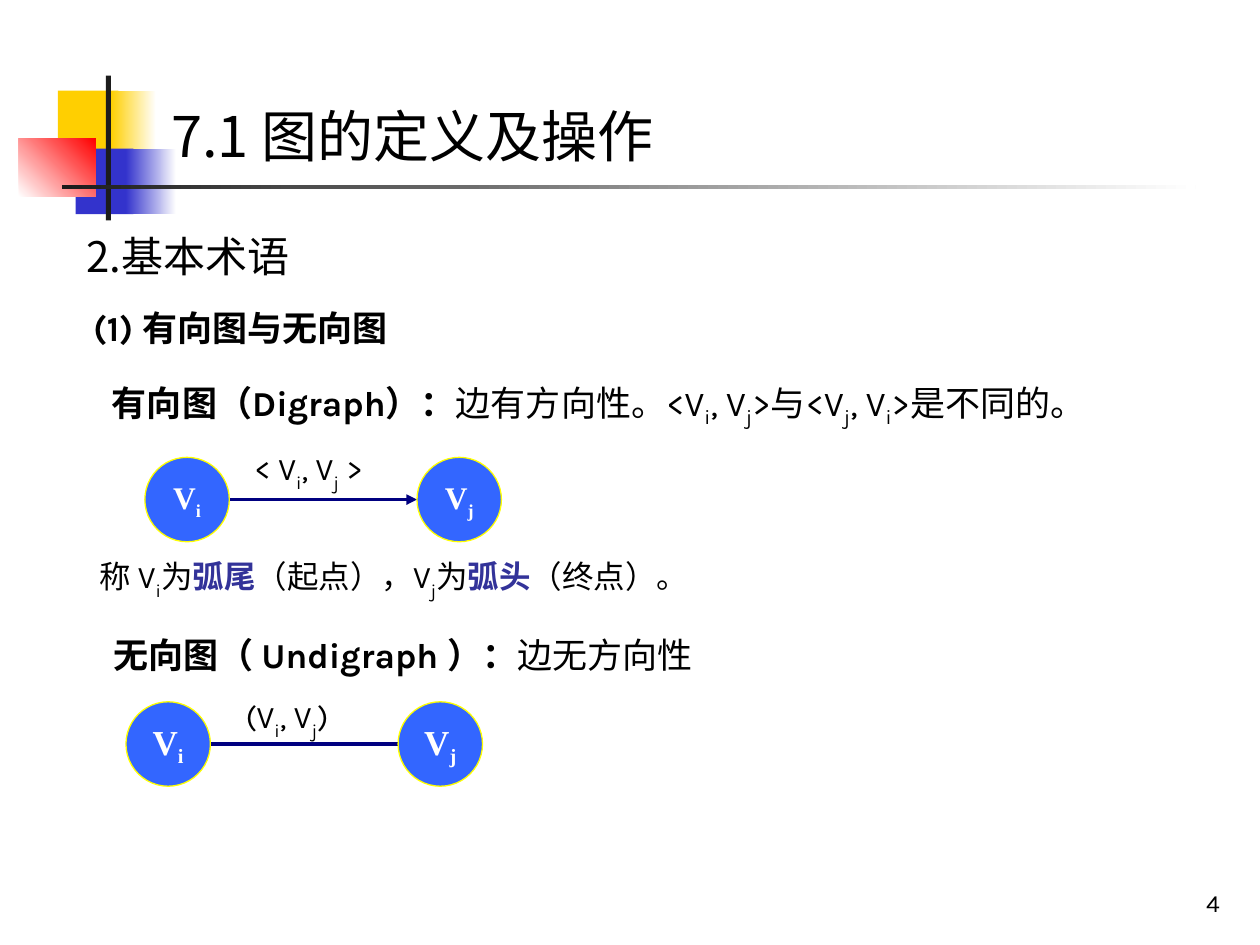
from lxml import etree
from pptx import Presentation, util as u
from pptx.dml.color import RGBColor
from pptx.enum import shapes, text
from pptx.oxml.ns import qn

color = RGBColor.from_string
BLACK, WHITE, NAVY = "000000", "FFFFFF", "000080"
CJK = "Noto Sans CJK SC"


def write(shape, spans, size, font="Karla", ink=BLACK, east=CJK, drop=-25):
    """Fill a shape with (words, style) spans; style holds b = bold, s = subscript, k = key term."""
    frame = shape.text_frame
    frame.word_wrap = True
    para = frame.paragraphs[0]
    for words, style in spans:
        span = para.add_run()
        span.text = words
        span.font.size = u.Pt(size)
        span.font.name = font
        span.font.bold = "b" in style
        span.font.color.rgb = color("333399" if "k" in style else ink)
        properties = span.font._element
        if "s" in style:
            properties.set("baseline", str(drop * 1000))
        etree.SubElement(properties, qn("a:ea")).set("typeface", east)
    return para


def add_block(kind, left, top, width, height, fill):
    shape = page.shapes.add_shape(kind, *map(u.Inches, (left, top, width, height)))
    shape.shadow.inherit = False
    shape.line.fill.background()
    if isinstance(fill, str):
        shape.fill.solid()
        shape.fill.fore_color.rgb = color(fill)
    else:
        start, end, angle = fill
        shape.fill.gradient()
        shape.fill.gradient_angle = angle
        for stop, shade in zip(shape.fill.gradient_stops, (start, end)):
            stop.color.rgb = color(shade)
    return shape


deck = Presentation()
deck.slide_width, deck.slide_height = u.Inches(10), u.Inches(7.5)
page = deck.slides.add_slide(deck.slide_layouts[6])

# Corner ornament and title rule
for left, top, width, height, fill in [
    (0.46, 0.72, 0.48, 0.52, "FFCF01"),
    (0.88, 0.72, 0.36, 0.52, ("FFCF01", WHITE, 0)),
    (0.6, 1.18, 0.46, 0.52, "3333CC"),
    (1, 1.18, 0.4, 0.52, ("3333CC", WHITE, 0)),
    (0.15, 1.1, 0.61, 0.46, (WHITE, "FF0000", 45)),
    (0.84, 0.6, 0.04, 1.15, "1C1C1C"),
    (0.49, 1.47, 9, 0.03, ("1C1C1C", WHITE, 0)),
]:
    add_block(shapes.MSO_SHAPE.RECTANGLE, left, top, width, height, fill)

# Title, section heading and page number
for left, top, width, height, words, size, font in [
    (1.26, 0.76, 8.74, 0.64, "7.1 图的定义及操作", 32, "Noto Sans CJK JP"),
    (0.59, 1.78, 7.4, 0.5, "2.基本术语", 24, CJK),
    (7.7, 6.83, 2.08, 0.5, "4", 14, "Karla"),
]:
    box = page.shapes.add_textbox(*map(u.Inches, (left, top, width, height)))
    east = CJK if font == "Karla" else font
    para = write(box, [(words, "")], size, font, east=east)
para.alignment = text.PP_ALIGN.RIGHT
box.text_frame.vertical_anchor = text.MSO_ANCHOR.BOTTOM

# Graphs: an edge between two nodes
NODE, STEP = 0.67, 2.16
for left, top, size, directed in [(1.15, 3.63, 18, True), (1, 5.57, 20, False)]:
    middle = top + NODE / 2
    edge = page.shapes.add_connector(
        shapes.MSO_CONNECTOR.STRAIGHT,
        *map(u.Inches, (left + NODE, middle, left + STEP, middle)))
    edge.line.color.rgb = color(NAVY)
    edge.line.width = u.Pt(2)
    if directed:
        etree.SubElement(edge.line._get_or_add_ln(), qn("a:tailEnd")).set("type", "triangle")
    etree.SubElement(edge._element.spPr, qn("a:effectLst"))
    for index, letter in enumerate("ij"):
        node = add_block(shapes.MSO_SHAPE.OVAL, left + index * STEP, top, NODE, NODE, "3366FF")
        node.line.color.rgb = color("FFFF00")
        node.line.width = u.Pt(0.75)
        para = write(node, [("V", "b"), (letter, "bs")], size, "Times New Roman", WHITE)
        para.alignment = text.PP_ALIGN.CENTER
        node.text_frame.vertical_anchor = text.MSO_ANCHOR.MIDDLE
        node.text_frame.word_wrap = False

# Definitions and edge labels
for left, top, width, size, drop, spans in [
    (0.64, 2.32, 7.87, 20, -25, [("(1) 有向图与无向图", "b")]),
    (0.79, 2.9, 8.99, 20, -25, [
        ("有向图（Digraph）：", "b"), ("边有方向性。<V", ""), ("i", "s"), (", V", ""), ("j", "s"),
        (">与<V", ""), ("j", "s"), (", V", ""), ("i", "s"), (">是不同的。", "")]),
    (1.92, 3.44, 1.31, 18, -30, [
        ("< V", ""), ("i", "s"), (", V", ""), ("j", "s"), (" >", "")]),
    (0.69, 4.3, 5.77, 18, -30, [
        ("称 V", ""), ("i", "s"), ("为", ""), ("弧尾", "bk"), ("（起点），V", ""), ("j", "s"),
        ("为", ""), ("弧头", "bk"), ("（终点）。", "")]),
    (0.8, 4.91, 8.99, 20, -25, [("无向图（ Undigraph ）：", "b"), ("边无方向性", "")]),
    (1.85, 5.41, 1.31, 18, -30, [
        ("(V", ""), ("i", "s"), (", V", ""), ("j", "s"), (")", "")]),
]:
    box = page.shapes.add_textbox(*map(u.Inches, (left, top, width, 0.58)))
    para = write(box, spans, size, drop=drop)
    para.alignment = text.PP_ALIGN.JUSTIFY
    para.line_spacing = 1.2
    indent = u.Inches(0.38)
    para._p.get_or_add_pPr().set("marL", str(indent))
    para._p.get_or_add_pPr().set("indent", str(-indent))

deck.save("out.pptx")
